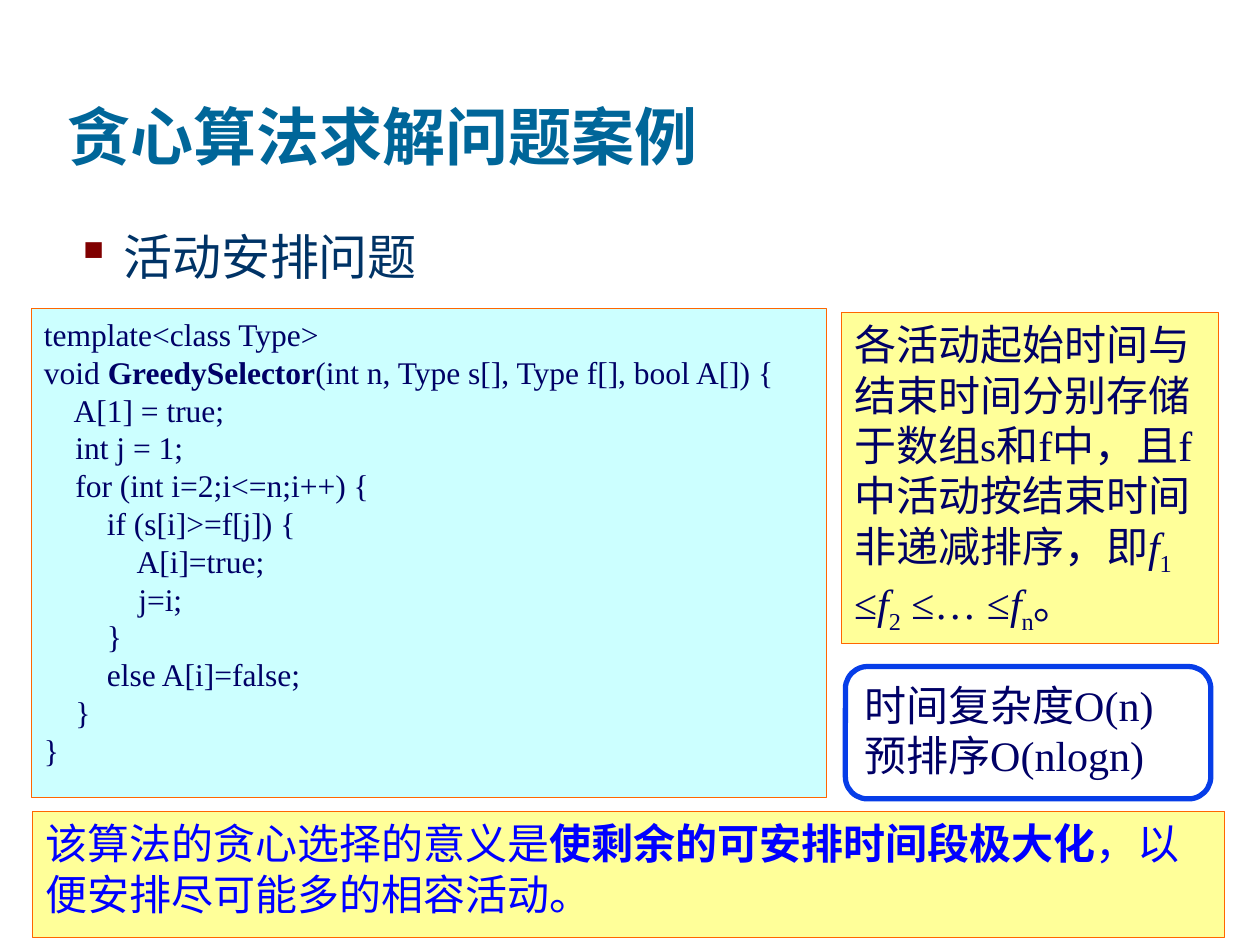
from dataclasses import dataclass
from lxml import etree
from pptx import Presentation
from pptx.dml.color import RGBColor
from pptx.enum.shapes import MSO_SHAPE
from pptx.enum.text import MSO_ANCHOR, PP_ALIGN
from pptx.oxml.ns import qn
from pptx.util import Inches, Pt

RECTANGLE = MSO_SHAPE.RECTANGLE
ROUNDED = MSO_SHAPE.ROUNDED_RECTANGLE
TOP, BOTTOM = MSO_ANCHOR.TOP, MSO_ANCHOR.BOTTOM
LEFT = PP_ALIGN.LEFT

BOLD = {"bold": True}
ITALIC = {"italic": True}
SUBSCRIPT = {"baseline": -25}


@dataclass(frozen=True)
class Theme:
    font: str = "Times New Roman"
    title_color: str = "006699"
    topic_color: str = "003366"
    bullet_color: str = "800000"
    text_color: str = "000066"
    emphasis_color: str = "0000FF"
    code_fill: str = "CCFFFF"
    note_fill: str = "FFFF99"
    plain_fill: str = "FFFFFF"
    border_color: str = "FF6600"
    accent_border: str = "063DE8"
    title_size: float = 36
    topic_size: float = 28
    note_size: float = 24
    code_size: float = 18
    thin: float = 0.5
    thick: float = 3


class SlideBuilder:
    def __init__(self, slide, theme):
        self.slide = slide
        self.theme = theme

    def fill_text(self, shape, paragraphs, size, color, anchor=TOP):
        frame = shape.text_frame
        frame_format = {
            "word_wrap": True,
            "vertical_anchor": anchor,
            "margin_left": Inches(0.1),
            "margin_right": Inches(0.1),
            "margin_top": Inches(0.05),
            "margin_bottom": Inches(0.05),
        }
        for name, value in frame_format.items():
            setattr(frame, name, value)
        for index, runs in enumerate(paragraphs):
            paragraph = frame.add_paragraph() if index else frame.paragraphs[0]
            paragraph.alignment = LEFT
            for text, changes in runs:
                self.add_run(paragraph, text, size, color, changes)

    def add_run(self, paragraph, text, size, color, changes):
        run = paragraph.add_run()
        run.text = text
        run.font.color.rgb = RGBColor.from_string(color)
        run_format = {"name": self.theme.font, "size": Pt(size), **changes}
        baseline = run_format.pop("baseline", None)
        for name, value in run_format.items():
            setattr(run.font, name, value)
        if baseline is not None:
            run._r.get_or_add_rPr().set("baseline", str(baseline * 1000))

    def text(self, box, paragraphs, size, color, anchor=TOP):
        shape = self.slide.shapes.add_textbox(*map(Inches, box))
        self.fill_text(shape, paragraphs, size, color, anchor)
        return shape

    def bullet(self, box, text, size, color):
        shape = self.text(box, [[(text, {})]], size, color)
        properties = shape.text_frame.paragraphs[0]._p.get_or_add_pPr()
        properties.set("marL", str(Inches(0.38)))
        properties.set("indent", str(-Inches(0.38)))
        bullet_color = etree.SubElement(properties, qn("a:buClr"))
        etree.SubElement(bullet_color, qn("a:srgbClr"), val=self.theme.bullet_color)
        etree.SubElement(properties, qn("a:buChar"), char="▪")

    def panel(self, box, paragraphs, size, color, fill, border, width, kind=RECTANGLE):
        shape = self.slide.shapes.add_shape(kind, *map(Inches, box))
        shape.shadow.inherit = False
        shape.fill.solid()
        shape.fill.fore_color.rgb = RGBColor.from_string(fill)
        shape.line.color.rgb = RGBColor.from_string(border)
        shape.line.width = Pt(width)
        self.fill_text(shape, paragraphs, size, color)


CODE = [
    [("template<class Type>", {})],
    [
        ("void ", {}),
        ("GreedySelector", BOLD),
        ("(int n, Type s[], Type f[], bool A[]) {", {}),
    ],
    [("    A[1] = true;", {})],
    [("    int j = 1;", {})],
    [("    for (int i=2;i<=n;i++) {", {})],
    [("        if (s[i]>=f[j]) {", {})],
    [("            A[i]=true;", {})],
    [("            j=i;", {})],
    [("        }", {})],
    [("        else A[i]=false;", {})],
    [("    }", {})],
    [("}", {})],
]

STORAGE = [[
    ("各活动起始时间与结束时间分别存储于数组s和f中，且f中活动按结束时间非递减排序，即", {}),
    ("f", ITALIC),
    ("1 ", SUBSCRIPT),
    ("≤", {}),
    ("f", ITALIC),
    ("2", SUBSCRIPT),
    (" ≤… ≤", {}),
    ("f", ITALIC),
    ("n", SUBSCRIPT),
    ("。", {}),
]]

COMPLEXITY = [[("时间复杂度O(n)", {})], [("预排序O(nlogn)", {})]]

MEANING = [[
    ("该算法的贪心选择的意义是", {}),
    ("使剩余的可安排时间段极大化", BOLD),
    ("，以便安排尽可能多的相容活动。", {}),
]]


def main():
    theme = Theme()
    presentation = Presentation()
    presentation.slide_width = Inches(10)
    presentation.slide_height = Inches(7.5)
    slide = presentation.slides.add_slide(presentation.slide_layouts[6])
    builder = SlideBuilder(slide, theme)

    builder.text((0.44, 0.17, 8.5, 1.25), [[("贪心算法求解问题案例", BOLD)]],
                 theme.title_size, theme.title_color, BOTTOM)
    builder.bullet((0.5, 1.75, 8.94, 0.65), "活动安排问题",
                   theme.topic_size, theme.topic_color)
    builder.panel((0.25, 2.45, 6.31, 3.88), CODE, theme.code_size, theme.text_color,
                  theme.code_fill, theme.border_color, theme.thin)
    builder.panel((6.68, 2.48, 2.99, 2.63), STORAGE, theme.note_size, theme.text_color,
                  theme.note_fill, theme.border_color, theme.thin)
    builder.panel((6.71, 5.29, 2.9, 1.05), COMPLEXITY, theme.note_size, theme.text_color,
                  theme.plain_fill, theme.accent_border, theme.thick, ROUNDED)
    builder.panel((0.26, 6.44, 9.46, 1), MEANING, theme.note_size, theme.emphasis_color,
                  theme.note_fill, theme.border_color, theme.thin)

    presentation.save("out.pptx")


if __name__ == "__main__":
    main()
